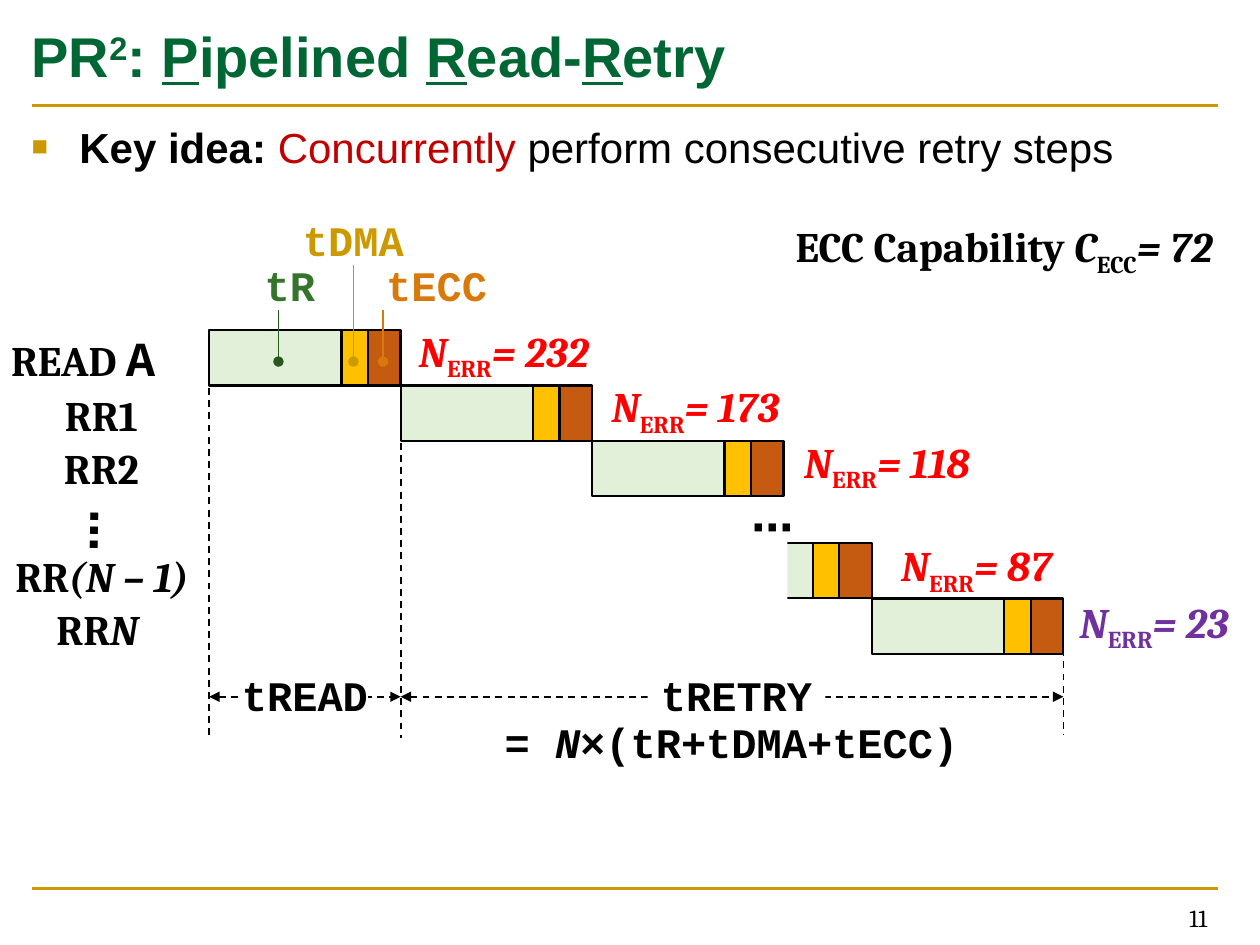
from lxml import etree
from pptx import Presentation
from pptx import util as u
from pptx.dml.color import RGBColor
from pptx.enum import dml, shapes, text
from pptx.oxml.ns import qn

BLACK = RGBColor(0x00, 0x00, 0x00)
WHITE = RGBColor(0xFF, 0xFF, 0xFF)
GOLD = RGBColor(0xCC, 0x99, 0x00)
TITLE_GREEN = RGBColor(0x00, 0x66, 0x33)
KEY_RED = RGBColor(0xC0, 0x00, 0x00)
ERROR_RED = RGBColor(0xFF, 0x00, 0x00)
PURPLE = RGBColor(0x70, 0x30, 0xA0)
SENSE_TEXT = RGBColor(0x35, 0x74, 0x2A)
SENSE_LINE = RGBColor(0x28, 0x57, 0x20)
ECC_ORANGE = RGBColor(0xD7, 0x7A, 0x0B)
SENSE_FILL = RGBColor(0xE2, 0xF0, 0xD9)
DMA_FILL = RGBColor(0xFF, 0xC0, 0x00)
ECC_FILL = RGBColor(0xC5, 0x5A, 0x11)

# The slide is a grid of 100 columns by 75 rows
WIDTH, HEIGHT = u.Inches(10), u.Inches(7.5)
COL, ROW = WIDTH / 100, HEIGHT / 75

# Timeline: each step starts one bar further right and one bar lower
START_X, START_Y = 16.6, 26.2
STEP_X, STEP_Y = 15.2, 4.4
PHASES = [(10.5, SENSE_FILL), (2.1, DMA_FILL), (2.6, ECC_FILL)]
END_X = 84.4
SPAN_Y = 55.3

MONO = {"name": "Courier New", "size": 24, "bold": True}
SERIF = {"name": "Cambria", "size": 24, "bold": True}
DOTS = {"name": "Calibri", "size": 24, "bold": True}
ARIAL = {"name": "Arial", "size": 24}
TITLE = {"name": "Arial", "size": 32, "bold": True, "color": TITLE_GREEN}
ITALIC = {"italic": True}
SUB = {"baseline": -25}
PLAIN_INSETS = (0, 0, 0, 0)
LABEL_INSETS = (0.08, 0, 0, 0)
BOX_INSETS = (0.1, 0.05, 0.1, 0.05)


def grid(*lengths):
    return [u.Emu(round(v * (ROW if i % 2 else COL))) for i, v in enumerate(lengths)]


def place(shape, box):
    shape.left, shape.top, shape.width, shape.height = grid(*box)


def write(shape, runs, base, align=text.PP_ALIGN.CENTER, insets=PLAIN_INSETS,
          anchor=text.MSO_ANCHOR.MIDDLE):
    """Fill the first paragraph with (text, changes to base) runs."""
    frame = shape.text_frame
    frame.word_wrap = True
    frame.auto_size = text.MSO_AUTO_SIZE.NONE
    frame.vertical_anchor = anchor
    for side, inset in zip(("left", "top", "right", "bottom"), insets):
        setattr(frame, f"margin_{side}", u.Inches(inset))
    paragraph = frame.paragraphs[0]
    paragraph.alignment = align
    paragraph.space_before = u.Pt(0)
    for words, changes in runs:
        values = {"color": BLACK, **base, **changes}
        run = paragraph.add_run()
        run.text = words
        run.font.color.rgb = values.pop("color")
        run.font.size = u.Pt(values.pop("size"))
        baseline = values.pop("baseline", None)
        if baseline:
            run.font._element.set("baseline", str(baseline * 1000))
        for key, value in values.items():
            setattr(run.font, key, value)
    return paragraph


def add_label(slide, box, runs, base, rotation=0, **layout):
    label = slide.shapes.add_textbox(*grid(*box))
    label.rotation = rotation
    write(label, runs, base, **layout)
    return label


def add_rect(slide, box, fill, outlined=False):
    rect = slide.shapes.add_shape(shapes.MSO_SHAPE.RECTANGLE, *grid(*box))
    rect.shadow.inherit = False
    rect.fill.solid()
    rect.fill.fore_color.rgb = fill
    if outlined:
        rect.line.color.rgb = BLACK
        rect.line.width = u.Pt(1.25)
    else:
        rect.line.fill.background()
    return rect


def add_line(slide, ends, color=BLACK, width=1, dashed=False, head=None, tail=None):
    line = slide.shapes.add_connector(shapes.MSO_CONNECTOR.STRAIGHT, *grid(*ends))
    line.line.color.rgb = color
    line.line.width = u.Pt(width)
    if dashed:
        line.line.dash_style = dml.MSO_LINE.DASH
    outline = line.line._get_or_add_ln()
    for tag, kind in (("a:headEnd", head), ("a:tailEnd", tail)):
        if kind:
            etree.SubElement(outline, qn(tag), type=kind)
    etree.SubElement(line._element.spPr, qn("a:effectLst"))
    return line


def add_bullet(paragraph):
    properties = paragraph._p.get_or_add_pPr()
    indent = u.Inches(0.38)
    properties.set("marL", str(indent))
    properties.set("indent", str(-indent))
    color = etree.SubElement(properties, qn("a:buClr"))
    etree.SubElement(color, qn("a:srgbClr"), val=str(GOLD))
    etree.SubElement(properties, qn("a:buSzPct"), val="65000")
    etree.SubElement(properties, qn("a:buFont"), typeface="Arial")
    etree.SubElement(properties, qn("a:buChar"), char="■")


def add_step(slide, x, y):
    """Draw one read as its sensing, transfer and decoding phases."""
    for width, fill in PHASES:
        add_rect(slide, (x, y, width, STEP_Y), fill, outlined=True)
        x += width


def add_error_count(slide, x, y, count, color=ERROR_RED):
    runs = [("N", ITALIC), ("ERR", SUB), (f"= {count}", ITALIC)]
    add_label(slide, (x, y, 19.6, 5), runs, {**SERIF, "color": color}, insets=BOX_INSETS)


def add_frame(slide):
    # Title, key idea, rules and page number
    title, body = slide.shapes.title, slide.placeholders[1]
    place(title, (2.5, 0.4, 94.2, 7.9))
    underlined = {"underline": True}
    write(title, [("PR", {}), ("2", {"baseline": 30}), (": ", {}), ("P", underlined),
                  ("ipelined ", {}), ("R", underlined), ("ead-", {}),
                  ("R", underlined), ("etry", {})],
          TITLE, align=text.PP_ALIGN.LEFT, insets=(0, 0.05, 0, 0.05))
    place(body, (2.5, 8.4, 94.2, 62.1))
    idea = write(body, [("Key idea: ", {"bold": True}), ("Concurrently", {"color": KEY_RED}),
                        (" perform consecutive retry steps", {})],
                 ARIAL, align=text.PP_ALIGN.LEFT, insets=(0, 0.12, 0, 0.12),
                 anchor=text.MSO_ANCHOR.TOP)
    add_bullet(idea)
    for y in (8.4, 70.5):
        add_line(slide, (2.5, y, 96.7, y), GOLD, 1.5)
    add_label(slide, (73.5, 71.1, 23.3, 3.4), [("11", {})], {"name": "Cambria", "size": 14},
              align=text.PP_ALIGN.RIGHT, insets=BOX_INSETS)


def add_step_names(slide):
    add_label(slide, (-3, 26, 18.4, 4.7),
              [("READ ", {}), ("A", {"name": "Courier New", "size": 28})],
              SERIF, insets=LABEL_INSETS)
    for x, y, width, runs in [
            (-1.3, 30.9, 17.9, [("RR1", {})]),
            (-1.3, 35.1, 17.9, [("RR2", {})]),
            (-6.7, 43.7, 28.8, [("RR", {}), ("(N – 1)", ITALIC)]),
            (-6.7, 47.9, 28.8, [("RR", {}), ("N ", ITALIC)])]:
        add_label(slide, (x, y, width, 4), runs, SERIF, insets=LABEL_INSETS)
    add_label(slide, (5.5, 38.8, 4.3, 6.7), [("⋯", {})], DOTS, rotation=91)


def add_timeline(slide):
    # Last two steps first, the earlier one cut off on its left
    late_x, late_y = END_X - 2 * STEP_X, 43.1
    add_step(slide, late_x, late_y)
    add_rect(slide, (late_x - 0.4, late_y - 0.4, 8.9, 5.4), WHITE)
    add_step(slide, late_x + STEP_X, late_y + STEP_Y)
    add_error_count(slide, late_x + 13.7, late_y - 0.5, 87)
    add_error_count(slide, late_x + STEP_X + 12.6, late_y + STEP_Y - 0.4, 23, PURPLE)
    add_label(slide, (59.3, 39.6, 4, 4.3), [("⋯", {})], DOTS)
    # First read and its first retries
    for step, count in enumerate((232, 173, 118)):
        x, y = START_X + step * STEP_X, START_Y + step * STEP_Y
        add_step(slide, x, y)
        add_error_count(slide, x + 13.6, y - 0.6, count)


def add_phase_names(slide):
    for name, color, line_color, box, line_x in [
            ("tR", SENSE_TEXT, SENSE_LINE, (10.1, 20.6, 25.8, 4), 22.1),
            ("tECC", ECC_ORANGE, ECC_ORANGE, (28.9, 20.6, 10.7, 4), 30.4),
            ("tDMA", GOLD, GOLD, (10.9, 17, 34.3, 4), 28.05)]:
        insets = LABEL_INSETS if name == "tECC" else PLAIN_INSETS
        label = add_label(slide, box, [(name, {})], {**MONO, "color": color}, insets=insets)
        pointer = add_line(slide, (line_x, box[1] + box[3], line_x, 28.7),
                           line_color, tail="oval")
        if name == "tDMA":
            pointer.begin_connect(label, 2)


def add_durations(slide):
    retry_x = START_X + STEP_X
    for x, top, bottom in [(START_X, 30.8, 58.6), (retry_x, 31.3, 58.6), (END_X, 49.6, 58.3)]:
        add_line(slide, (x, top, x, bottom), dashed=True)
    for name, begin, end, x, width in [("tREAD", START_X, retry_x, 19.2, 10),
                                       ("tRETRY", retry_x, END_X, 51.4, 14.1)]:
        add_line(slide, (begin, SPAN_Y, end, SPAN_Y), dashed=True,
                 head="triangle", tail="triangle")
        write(add_rect(slide, (x, SPAN_Y - 2.2, width, 4), WHITE), [(name, {})], MONO)
    add_label(slide, (39.6, 56.9, 36.9, 4),
              [("= N×", ITALIC), ("(tR+tDMA+tECC)", {})], MONO)


def main():
    deck = Presentation()
    deck.slide_width, deck.slide_height = WIDTH, HEIGHT
    slide = deck.slides.add_slide(deck.slide_layouts[1])
    add_frame(slide)
    add_label(slide, (58.1, 17.3, 43.2, 5),
              [("ECC Capability", {}), (" C", ITALIC), ("ECC", SUB), ("= 72", ITALIC)],
              SERIF, insets=BOX_INSETS)
    add_step_names(slide)
    add_timeline(slide)
    add_phase_names(slide)
    add_durations(slide)
    deck.save("out.pptx")


if __name__ == "__main__":
    main()
